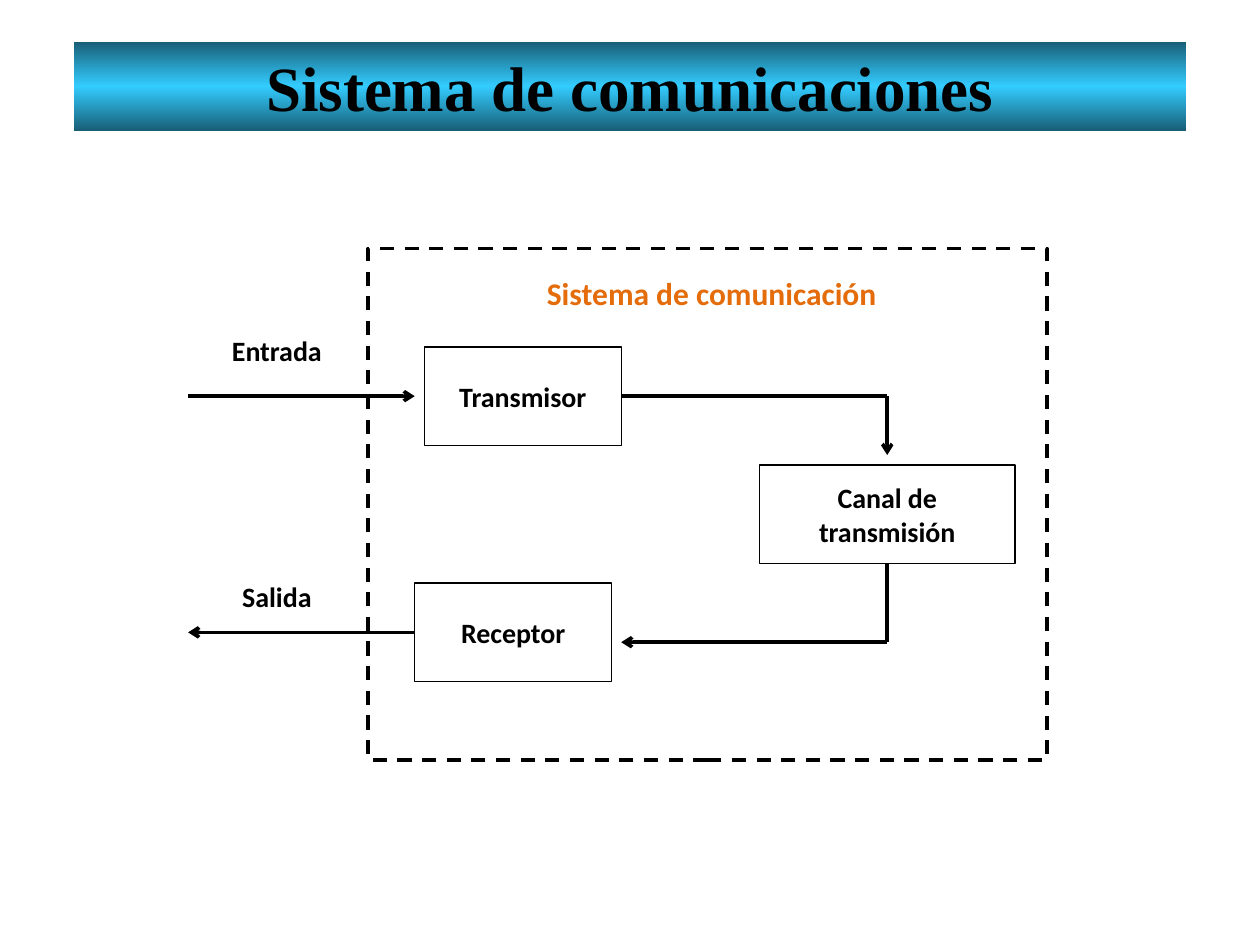
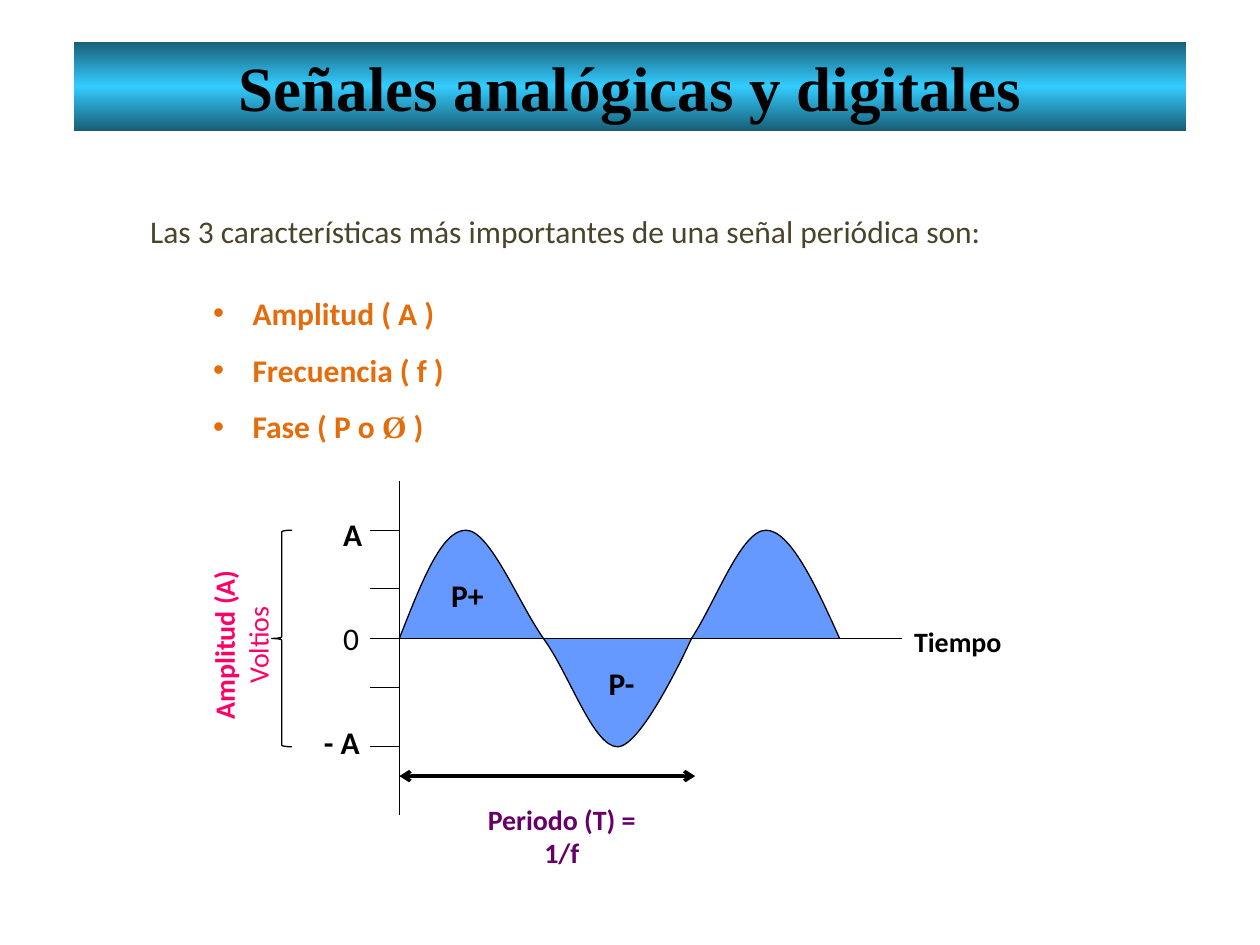
from copy import deepcopy
from dataclasses import dataclass

from lxml.etree import SubElement
from pptx import Presentation
from pptx.dml.color import RGBColor
from pptx.enum.dml import MSO_LINE
from pptx.enum.shapes import MSO_CONNECTOR, MSO_SHAPE
from pptx.enum.text import MSO_ANCHOR, PP_ALIGN
from pptx.oxml.ns import qn
from pptx.util import Pt


@dataclass(frozen=True)
class Theme:
    body_font: str = "Calibri"
    title_font: str = "Times New Roman"
    ink: str = "000000"
    paper: str = "FFFFFF"
    band_edge: str = "185E76"
    band_middle: str = "33CCFF"
    accent: str = "E46C0A"
    prose: str = "4A452A"
    wave: str = "6699FF"
    amplitude: str = "FF0066"
    period: str = "660066"
    title_size: float = 36
    text_size: float = 18
    label_size: float = 16
    thin: float = 0.75
    thick: float = 2


THEME = Theme()
TITLE_ONLY = 5
TITLE_BOX = (42, 23.75, 636, 51)


def points(*lengths):
    return [Pt(length) for length in lengths]


def write(para, text, size=THEME.label_size, color=THEME.ink, bold=True,
          font=THEME.body_font, align=None):
    span = para.add_run()
    span.text = text
    span.font.size = Pt(size)
    span.font.bold = bold
    span.font.name = font
    span.font.color.rgb = RGBColor.from_string(color)
    if align is not None:
        para.alignment = align


def bend(shape):
    """Turn each three line segments of a freeform into one cubic Bézier segment."""
    outline = shape.element.find(".//" + qn("a:path"))
    segments = outline.findall(qn("a:lnTo"))
    for index in range(0, len(segments), 3):
        cubic = SubElement(outline, qn("a:cubicBezTo"))
        for segment in segments[index:index + 3]:
            cubic.append(segment[0])
            outline.remove(segment)


class Builder:
    def __init__(self, deck, theme):
        self.deck = deck
        self.theme = theme
        self.page = None

    def start_page(self, title):
        theme = self.theme
        self.page = self.deck.slides.add_slide(self.deck.slide_layouts[TITLE_ONLY])
        band = self.page.shapes.title
        band.left, band.top, band.width, band.height = points(*TITLE_BOX)
        band.fill.gradient()
        band.fill.gradient_angle = 90
        stop_list = band.element.find(".//" + qn("a:gsLst"))
        stop_list.append(deepcopy(stop_list[0]))
        colors = (theme.band_edge, theme.band_middle, theme.band_edge)
        for index, (stop, color) in enumerate(zip(band.fill.gradient_stops, colors)):
            stop.position = index / 2
            stop.color.rgb = RGBColor.from_string(color)
        frame = band.text_frame
        frame.vertical_anchor = MSO_ANCHOR.TOP
        frame.margin_top = Pt(3.75)
        write(frame.paragraphs[0], title, size=theme.title_size,
              font=theme.title_font, align=PP_ALIGN.CENTER)

    def outline(self, shape, fill=None, width=THEME.thin):
        shape.shadow.inherit = False
        if fill:
            shape.fill.solid()
            shape.fill.fore_color.rgb = RGBColor.from_string(fill)
        else:
            shape.fill.background()
        shape.line.color.rgb = RGBColor.from_string(self.theme.ink)
        shape.line.width = Pt(width)
        return shape

    def shape(self, kind, box, **style):
        return self.outline(self.page.shapes.add_shape(kind, *points(*box)), **style)

    def block(self, text, box):
        block = self.shape(MSO_SHAPE.RECTANGLE, box, fill=self.theme.paper)
        block.text_frame.word_wrap = True
        block.text_frame.vertical_anchor = MSO_ANCHOR.MIDDLE
        write(block.text_frame.paragraphs[0], text, align=PP_ALIGN.CENTER)
        return block

    def text_box(self, box):
        text_box = self.page.shapes.add_textbox(*points(*box))
        text_box.text_frame.word_wrap = True
        return text_box

    def label(self, text, box, **style):
        label = self.text_box(box)
        write(label.text_frame.paragraphs[0], text, **style)
        return label

    def line(self, start, end, width=THEME.thin, head=False, tail=False):
        line = self.page.shapes.add_connector(
            MSO_CONNECTOR.STRAIGHT, *points(*start, *end))
        line.line.color.rgb = RGBColor.from_string(self.theme.ink)
        line.line.width = Pt(width)
        properties = line.element.find(qn("p:spPr"))
        stroke = properties.find(qn("a:ln"))
        for tag, wanted in (("a:headEnd", head), ("a:tailEnd", tail)):
            if wanted:
                SubElement(stroke, qn(tag), type="arrow")
        SubElement(properties, qn("a:effectLst"))
        return line

    def curve(self, start, controls, fill):
        """Draw a chain of cubic segments, each given by three points."""
        outline = self.page.shapes.build_freeform(*points(*start))
        outline.add_line_segments([points(*control) for control in controls], close=False)
        shape = outline.convert_to_shape()
        bend(shape)
        return self.outline(shape, fill=fill)

    def bullet(self, para):
        para.level = 1
        properties = para._p.get_or_add_pPr()
        properties.set("marL", str(Pt(58.5)))
        properties.set("indent", str(Pt(-22.5)))
        SubElement(properties, qn("a:buFont"), typeface="Arial")
        SubElement(properties, qn("a:buChar"), char="•")


def build_system(builder):
    theme = builder.theme
    center = PP_ALIGN.CENTER
    builder.start_page("Sistema de comunicaciones")
    frame = builder.shape(MSO_SHAPE.RECTANGLE, (210.25, 142, 388, 292.25), width=theme.thick)
    frame.line.dash_style = MSO_LINE.DASH
    builder.label("Sistema de comunicación", (288.75, 153, 236, 29),
                  size=theme.text_size, color=theme.accent, align=center)

    height = 56.25
    transmitter = builder.block("Transmisor", (242.5, 198.25, 112.5, height))
    receiver = builder.block("Receptor", (237, 333.25, 112.5, height))
    channel = builder.block("Canal de transmisión", (434, 265.75, 146, height))

    outer_x, inner_x, turn_x = 107.5, 237, 507
    sent_y, received_y, output_y = 226.38, 367, 361.38
    builder.line((turn_x, sent_y), (turn_x, 260), theme.thick, tail=True)
    sent = builder.line((355, sent_y), (turn_x, sent_y), theme.thick)
    sent.begin_connect(transmitter, 3)
    drop = builder.line((turn_x, received_y), (turn_x, 322), theme.thick)
    drop.end_connect(channel, 2)
    builder.line((355, received_y), (turn_x, received_y), theme.thick, head=True)
    builder.line((outer_x, sent_y), (inner_x, sent_y), theme.thick, tail=True)
    output = builder.line((outer_x, output_y), (inner_x, output_y), theme.thick, head=True)
    output.end_connect(receiver, 1)
    for text, top in (("Entrada", 187.25), ("Salida", 327.75)):
        builder.label(text, (119, top, 78.5, 26.5), align=center)


def write_characteristics(builder):
    theme = builder.theme
    frame = builder.text_box((78.75, 106.75, 551.5, 163.5)).text_frame
    intro = frame.paragraphs[0]
    intro.line_spacing = 1.5
    write(intro, "Las 3 características más importantes de una señal periódica son:",
          size=theme.text_size, color=theme.prose, bold=False)
    items = (
        [("Amplitud ( A )", theme.body_font)],
        [("Frecuencia ( f )", theme.body_font)],
        [("Fase ( P o ", theme.body_font), ("Ø", theme.title_font), (" )", theme.body_font)],
    )
    for index, spans in enumerate(items):
        para = frame.add_paragraph()
        para.line_spacing = 1.5
        para.space_before = Pt(0 if index else 14.5)
        builder.bullet(para)
        for text, font in spans:
            write(para, text, size=theme.text_size, color=theme.accent, font=font)


def build_signals(builder):
    theme = builder.theme
    builder.start_page("Señales analógicas y digitales")
    write_characteristics(builder)

    axis_x, tick_x, time_end = 228.25, 211.5, 515.25
    high, zero, low = 303, 364.75, 426.75
    builder.curve((axis_x, zero), [
        (240.5, 334), (252, high), (266.25, high),
        (280, high), (296, 344), (310.5, zero),
        (325.5, 385.25), (339, low), (353, low),
        (367.25, low), (395.25, zero), (395.25, zero),
        (409, 344), (423.5, high), (437.75, high),
        (451.5, high), (466, 334), (479.75, zero),
    ], fill=theme.wave)
    builder.line((axis_x, 275), (axis_x, 466))
    for tick_y in (high, 336.5, 393, low):
        builder.line((tick_x, tick_y), (axis_x, tick_y))

    amplitude = builder.label("Amplitud (A) ", (78.75, 345.5, 118, 46),
                              color=theme.amplitude, align=PP_ALIGN.CENTER)
    write(amplitude.text_frame.paragraphs[0], "Voltios", color=theme.amplitude, bold=False)
    amplitude.rotation = 270
    brace = builder.shape(MSO_SHAPE.LEFT_BRACE, (155.25, high, 11.5, low - high),
                          fill=theme.paper)
    brace.adjustments[0] = 0.08

    for text, left, top, width, bold in (
            ("0", 189, 350, 28, False),
            ("- A", 178, 409.5, 44.5, True),
            ("A", 189, 291, 28, True),
            ("P+", 250.75, 325.5, 39.5, True),
            ("P-", 340.75, 376, 39.5, True)):
        builder.label(text, (left, top, width, 29), size=theme.text_size, bold=bold)
    builder.label("Tiempo", (time_end, 353.5, 78.5, 26.5))
    builder.line((axis_x, 443.5), (397.25, 443.5), theme.thick, head=True, tail=True)
    builder.label("Periodo (T) = 1/f", (267.75, 455, 106.5, 46),
                  color=theme.period, align=PP_ALIGN.CENTER)
    builder.line((tick_x, zero), (time_end, zero))


def main():
    deck = Presentation()
    deck.slide_width, deck.slide_height = points(720, 540)
    builder = Builder(deck, THEME)
    build_system(builder)
    build_signals(builder)
    deck.save("out.pptx")


if __name__ == "__main__":
    main()
